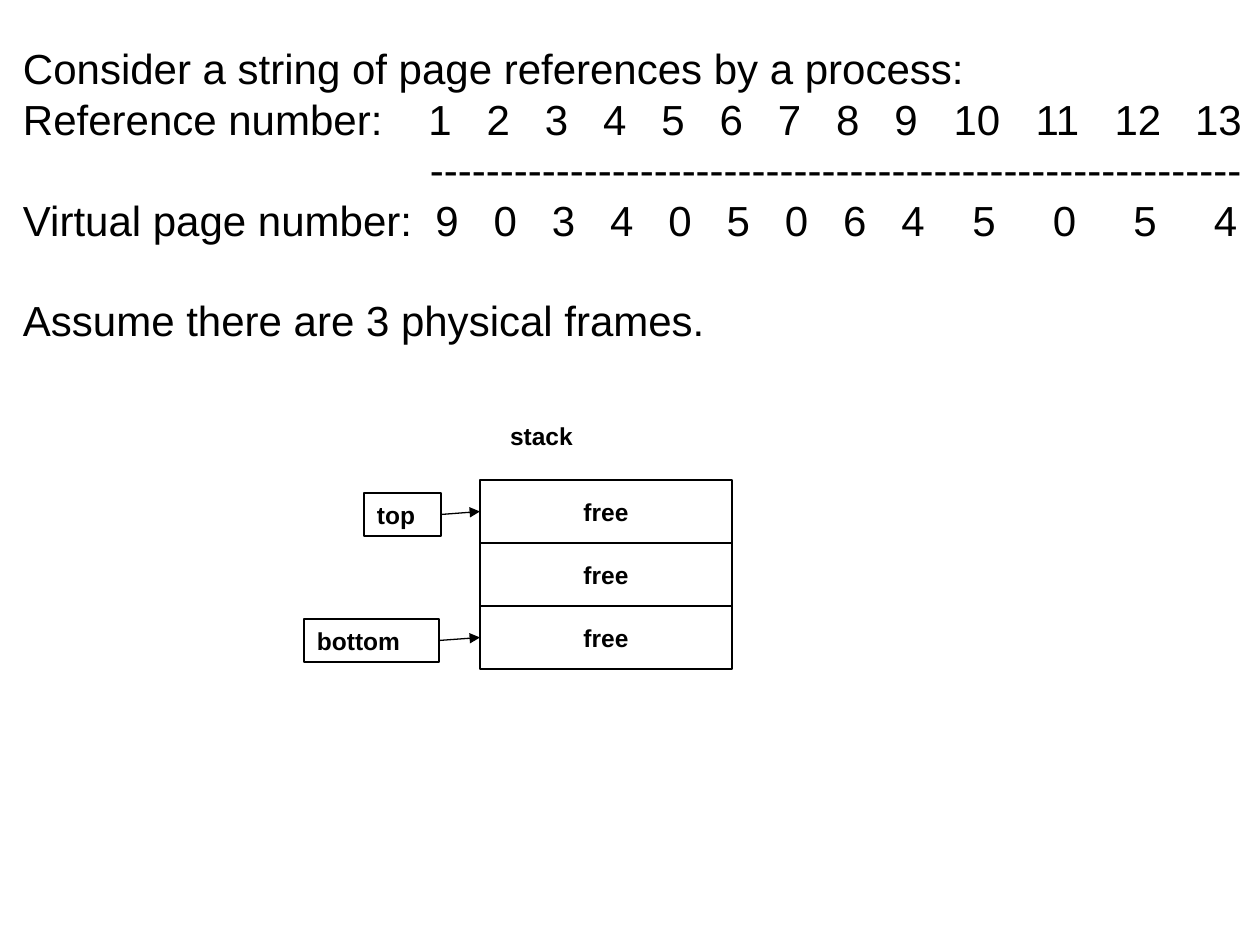
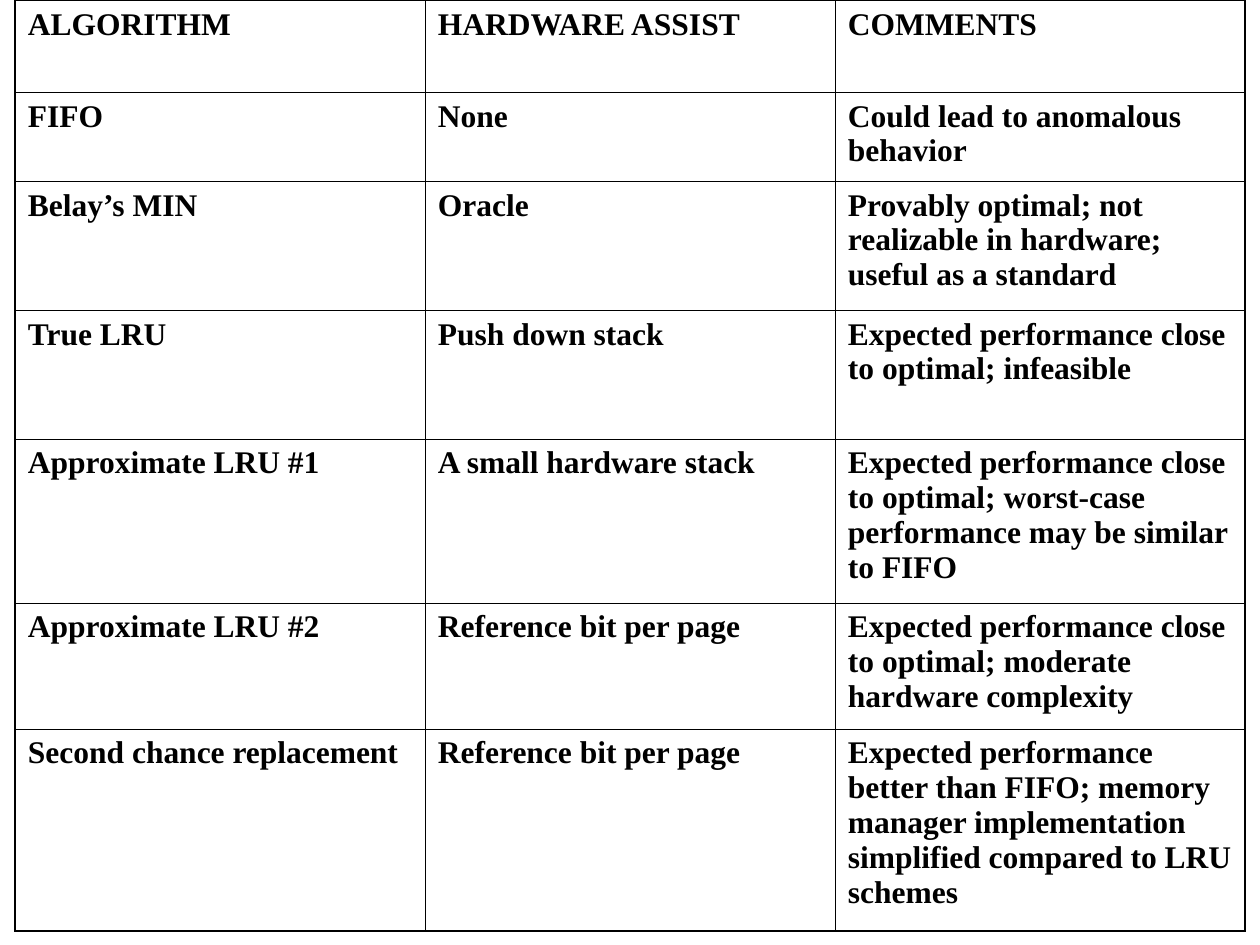
from lxml import etree
from pptx import Presentation
from pptx.dml.color import RGBColor
from pptx.enum.shapes import MSO_CONNECTOR, MSO_SHAPE
from pptx.enum.text import MSO_ANCHOR, PP_ALIGN
from pptx.oxml.ns import qn
from pptx.util import Emu, Pt

LEFT, CENTER = PP_ALIGN.LEFT, PP_ALIGN.CENTER
MIDDLE = MSO_ANCHOR.MIDDLE
RECT, STRAIGHT = MSO_SHAPE.RECTANGLE, MSO_CONNECTOR.STRAIGHT
BLACK = RGBColor(0, 0, 0)
SANS, SERIF = "Arial", "Times New Roman"
EMU_PER_PX = 914400 / 126
SLIDE_W, SLIDE_H = 1260, 945
INSET_X, INSET_Y = 13, 6
RECT_LEFT_SITE, RECT_RIGHT_SITE = 1, 3

INTRO = "Consider a string of page references by a process:"
REFERENCES = list(range(1, 14))
PAGES = [9, 0, 3, 4, 0, 5, 0, 6, 4, 5, 0, 5, 4]
RULE = "-" * 58
ASSUMPTION = "Assume there are 3 physical frames."

STACK_TITLE = "stack"
FRAMES = ["free", "free", "free"]
POINTERS = [("top", 0, 364, 77), ("bottom", 2, 304, 135)]

ALGORITHMS = [
    (92, "ALGORITHM", "HARDWARE ASSIST", "COMMENTS"),
    (89, "FIFO", "None", "Could lead to anomalous behavior"),
    (129, "Belay’s MIN", "Oracle",
     "Provably optimal; not realizable in hardware; useful as a standard"),
    (129, "True LRU", "Push down stack",
     "Expected performance close to optimal; infeasible"),
    (164, "Approximate LRU #1", "A small hardware stack",
     "Expected performance close to optimal; worst-case performance may be similar to FIFO"),
    (126, "Approximate LRU #2", "Reference bit per page",
     "Expected performance close to optimal; moderate hardware complexity"),
    (202, "Second chance replacement", "Reference bit per page",
     "Expected performance better than FIFO; memory manager implementation "
     "simplified compared to LRU schemes"),
]


def px(n):
    return Emu(round(n * EMU_PER_PX))


def box(*lengths):
    return [px(n) for n in lengths]


def set_font(p, name, size, bold=False):
    p.font.name = name
    p.font.size = Pt(size)
    p.font.bold = bold
    p.font.color.rgb = BLACK


def set_insets(tf):
    tf.word_wrap = True
    tf.margin_left = tf.margin_right = px(INSET_X)
    tf.margin_top = tf.margin_bottom = px(INSET_Y)


def add_tabs(p, stops):
    tabs = etree.SubElement(p._p.get_or_add_pPr(), qn("a:tabLst"))
    for pos, align in stops:
        etree.SubElement(tabs, qn("a:tab"), pos=str(px(pos)), algn=align)


def add_label(sp, text, align):
    tf = sp.text_frame
    set_insets(tf)
    tf.vertical_anchor = MIDDLE
    p = tf.paragraphs[0]
    p.text = text
    p.alignment = align
    set_font(p, SANS, 14, True)


def add_box(shapes, bounds, text, align):
    sp = shapes.add_shape(RECT, *box(*bounds))
    sp.shadow.inherit = False
    sp.fill.background()
    sp.line.color.rgb = BLACK
    sp.line.width = Pt(0.75)
    add_label(sp, text, align)
    return sp


def add_arrow(shapes, start, end):
    c = shapes.add_connector(STRAIGHT, start.left + start.width, start.top + start.height // 2,
                             end.left, end.top + end.height // 2)
    c.begin_connect(start, RECT_RIGHT_SITE)
    c.end_connect(end, RECT_LEFT_SITE)
    c.line.color.rgb = BLACK
    c.line.width = Pt(0.75)
    etree.SubElement(c.line._get_or_add_ln(), qn("a:tailEnd"), type="triangle")
    etree.SubElement(c._element.spPr, qn("a:effectLst"))


def add_references(s):
    x, y = 10, 37
    text_x = x + INSET_X
    centers = [440 + 58.25 * i for i in range(9)] + [977 + 80.5 * i for i in range(4)]

    def number_tabs(shift):
        return [(c + shift - text_x, "ctr") for c in centers]

    def row(label, numbers):
        return "\t".join([label, *map(str, numbers)])

    lines = [
        (INTRO, []),
        (row("Reference number:", REFERENCES), number_tabs(0)),
        ("\t" + RULE, [(430 - text_x, "l")]),
        (row("Virtual page number:", PAGES), number_tabs(7)),
        (ASSUMPTION, []),
    ]
    tf = s.shapes.add_textbox(*box(x, y, 1248, 315)).text_frame
    set_insets(tf)
    tf.margin_right = 0
    for i, (text, stops) in enumerate(lines):
        p = tf.paragraphs[0] if i == 0 else tf.add_paragraph()
        p.text = text
        p.line_spacing = Pt(28.8)
        if text == ASSUMPTION:
            p.space_before = Pt(28.8)
        if stops:
            add_tabs(p, stops)
        set_font(p, SANS, 24)


def add_stack(s):
    x, y, w, h = 480, 480, 252, 63
    pointer_h, pointer_drop = 43, 13
    shapes = s.shapes.add_group_shape().shapes
    add_label(shapes.add_textbox(*box(497, 414, 260, 43)), STACK_TITLE, LEFT)
    frames = [add_box(shapes, (x, y + i * h, w, h), text, CENTER)
              for i, text in enumerate(FRAMES)]
    for text, i, left, width in POINTERS:
        sp = add_box(shapes, (left, y + i * h + pointer_drop, width, pointer_h), text, LEFT)
        add_arrow(shapes, sp, frames[i])


def set_borders(cell, widths):
    tcPr = cell._tc.get_or_add_tcPr()
    for i, (side, width) in enumerate(widths.items()):
        ln = etree.Element(qn("a:ln" + side), w=str(Pt(width)))
        fill = etree.SubElement(ln, qn("a:solidFill"))
        etree.SubElement(fill, qn("a:srgbClr"), val=str(BLACK))
        tcPr.insert(i, ln)


def add_algorithms(s):
    x, y, col_w = 15, 0, 410
    outer, inner = 0.96, 0.45
    heights = [row[0] for row in ALGORITHMS]
    rows, cols = len(ALGORITHMS), len(ALGORITHMS[0]) - 1
    table = s.shapes.add_table(rows, cols, *box(x, y, cols * col_w, sum(heights))).table
    table.first_row = table.horz_banding = False
    for col in table.columns:
        col.width = px(col_w)
    for i, (height, *texts) in enumerate(ALGORITHMS):
        table.rows[i].height = px(height)
        for j, text in enumerate(texts):
            cell = table.cell(i, j)
            cell.fill.background()
            cell.margin_left = cell.margin_right = px(INSET_X)
            cell.margin_top = cell.margin_bottom = px(INSET_Y + 1)
            edges = {"L": j == 0, "R": j == cols - 1, "T": i == 0, "B": i == rows - 1}
            set_borders(cell, {side: outer if edge else inner for side, edge in edges.items()})
            p = cell.text_frame.paragraphs[0]
            p.text = text
            p.line_spacing = Pt(19.9)
            set_font(p, SERIF, 18, True)


def main():
    prs = Presentation()
    prs.slide_width, prs.slide_height = px(SLIDE_W), px(SLIDE_H)
    blank = prs.slide_layouts[6]
    s = prs.slides.add_slide(blank)
    add_stack(s)
    add_references(s)
    add_algorithms(prs.slides.add_slide(blank))
    prs.save("out.pptx")


if __name__ == "__main__":
    main()
